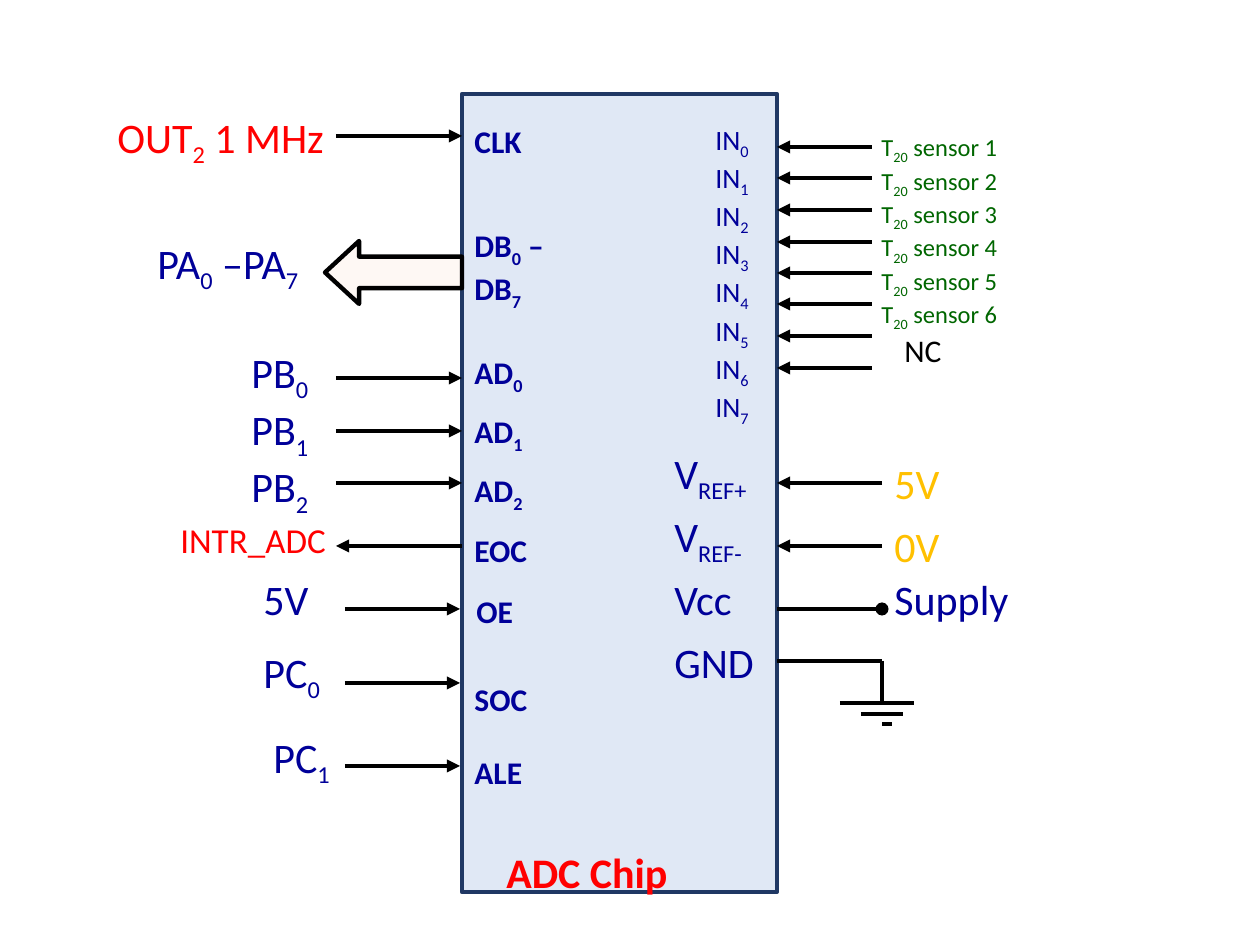
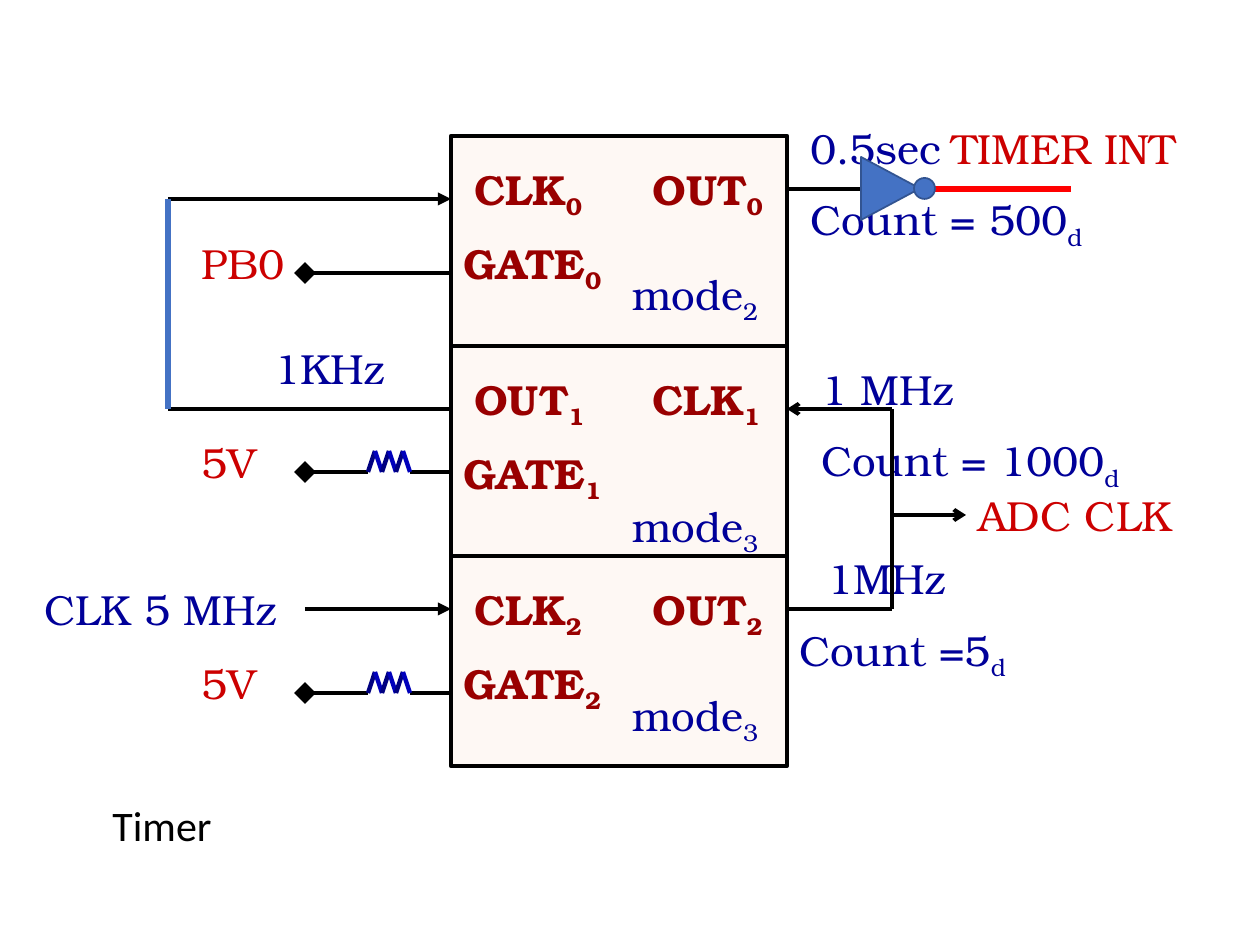
from pptx import Presentation
from pptx.dml.color import RGBColor
from pptx.enum.shapes import MSO_CONNECTOR, MSO_SHAPE
from pptx.enum.text import MSO_AUTO_SIZE
from pptx.oxml.ns import qn
from pptx.util import Pt
from lxml import etree

PIXEL = 914400 / 126
PIXELS_PER_POINT = 1.75
BLACK, NAVY, RED, CRIMSON = "000000", "000099", "FF0000", "CC0000"
MAROON, GREEN, AMBER, BLUE = "990000", "006600", "FFC000", "4472C4"
BLUE_EDGE = "325491"
SANS, SERIF = "Calibri", "TeX Gyre Bonum"
colour = RGBColor.from_string


def label(page, left, top, width, text, size=24, ink=NAVY, bold=False, font=SANS, gap=0):
    """Add a text box; parts between ~ marks are subscripts, gap is points between lines."""
    lines = text.split("\n")
    height = 12.6 + (len(lines) * size * 1.2 + (len(lines) - 1) * gap) * PIXELS_PER_POINT
    box = page.shapes.add_textbox(*(int(v * PIXEL) for v in (left, top, width, round(height))))
    frame = box.text_frame
    frame.word_wrap = True
    frame.auto_size = MSO_AUTO_SIZE.SHAPE_TO_FIT_TEXT
    for number, line in enumerate(lines):
        para = frame.add_paragraph() if number else frame.paragraphs[0]
        para.space_before = Pt(gap if number else 0)
        for part, words in enumerate(line.split("~")):
            if not words:
                continue
            span = para.add_run()
            span.text = words
            span.font.size, span.font.name, span.font.bold = Pt(size), font, bold
            span.font.color.rgb = colour(ink)
            if part % 2:
                span._r.get_or_add_rPr().set("baseline", "-25000")


def wire(shapes, x1, y1, x2, y2, end=None, ink=BLACK, weight=2.5):
    """Add a straight line with an optional end mark at its second point."""
    line = shapes.add_connector(MSO_CONNECTOR.STRAIGHT, *(int(v * PIXEL) for v in (x1, y1, x2, y2)))
    line.line.color.rgb = colour(ink)
    line.line.width = Pt(weight)
    properties = line._element.spPr
    if end:
        size = "lg" if end == "diamond" else "med"
        etree.SubElement(properties.find(qn("a:ln")), qn("a:tailEnd"), type=end, w=size, len=size)
    etree.SubElement(properties, qn("a:effectLst"))


deck = Presentation()
deck.slide_width, deck.slide_height = int(1260 * PIXEL), int(945 * PIXEL)
converter, timer = (deck.slides.add_slide(deck.slide_layouts[6]) for _ in range(2))

# Pale, half-transparent bodies: converter chip, data bus arrow and three counters
bodies = [
    (converter, MSO_SHAPE.RECTANGLE, 462, 94, 315, 798, "8FAADC", 27000, "203864"),
    (converter, MSO_SHAPE.LEFT_ARROW, 325, 241, 137, 63, "ED7D31", 5000, BLACK),
]
bodies += [(timer, MSO_SHAPE.RECTANGLE, 451, 136 + 210 * i, 336, 210, "ED7D31", 5000, BLACK)
           for i in range(3)]
for page, kind, left, top, width, height, fill, alpha, edge in bodies:
    body = page.shapes.add_shape(kind, *(int(v * PIXEL) for v in (left, top, width, height)))
    body.shadow.inherit = False
    body.fill.solid()
    body.fill.fore_color.rgb = colour(fill)
    body.line.color.rgb = colour(edge)
    body.line.width = Pt(2.5)
    tint = body._element.spPr.find(qn("a:solidFill"))[0]
    etree.SubElement(tint, qn("a:alpha"), val=str(alpha))
    if kind == MSO_SHAPE.LEFT_ARROW:
        body.adjustments[1] = 0.542

# Slide 1: analogue inputs
for i in range(8):
    y = round(147 + 31.5 * i)
    wire(converter.shapes, 872, y, 777, y, "triangle")
label(converter, 703, 116, 95, "\n".join(f"IN~{i}" for i in range(8)), 16)
label(converter, 869, 126, 286, "\n".join(f"T~20~ sensor {i}" for i in range(1, 7)), 14, GREEN)
label(converter, 892, 325, 70, "NC", 18, BLACK)

# Pin names inside the chip, left edge
for left, top, width, name in [
    (462, 116, 147, "CLK"),
    (462, 220, 137, "DB~0~ –DB~7"),
    (462, 347, 105, "AD~0\nAD~1\nAD~2"),
    (462, 525, 127, "EOC"),
    (464, 586, 95, "OE"),
    (462, 674, 145, "SOC"),
    (462, 747, 95, "ALE"),
]:
    label(converter, left, top, width, name, 18, NAVY, True, gap=9)

# Signals on the left of the chip
for left, top, width, name, size, ink in [
    (105, 105, 262, "OUT~2~ 1 MHz", 24, RED),
    (145, 231, 189, "PA~0~ –PA~7", 24, NAVY),
    (239, 340, 147, "PB~0\nPB~1\nPB~2", 24, NAVY),
    (168, 512, 179, "INTR_ADC", 20, RED),
    (251, 567, 147, "5V", 24, NAVY),
    (251, 640, 147, "PC~0", 24, NAVY),
    (261, 725, 147, "PC~1", 24, NAVY),
]:
    label(converter, left, top, width, name, size, ink)
for start, end, y in [(336, 462, 136), (336, 462, 378), (336, 462, 431), (336, 462, 483),
                      (462, 336, 546), (345, 460, 609), (345, 460, 683), (345, 460, 766)]:
    wire(converter.shapes, start, y, end, y, "triangle")

# References and supply on the right
for i, name in enumerate(["V~REF+", "V~REF-", "Vcc", "GND"]):
    label(converter, 662, 441 + 63 * i, 147, name)
for top, name, ink in [(451, "5V", AMBER), (514, "0V", AMBER), (567, "Supply", NAVY)]:
    label(converter, 882, top, 199, name, ink=ink)
for y in (483, 546):
    wire(converter.shapes, 882, y, 777, y, "triangle")
wire(converter.shapes, 777, 609, 882, 609, "oval")

# Ground symbol
for x1, y1, x2, y2 in [(777, 661, 882, 661), (882, 661, 882, 703), (840, 703, 914, 703),
                       (861, 714, 903, 714), (882, 724, 892, 724)]:
    wire(converter.shapes, x1, y1, x2, y2)
label(converter, 494, 840, 242, "ADC Chip", 24, RED, True)

# Slide 2: pins and mode of each counter
for i, (left_pin, right_pin, mode, mode_top) in enumerate([
    ("CLK", "OUT", 2, 262), ("OUT", "CLK", 3, 494), ("CLK", "OUT", 3, 683),
]):
    top = 136 + 210 * i
    label(timer, 462, top + 21, 147, f"{left_pin}~{i}", 24, MAROON, True, SERIF)
    label(timer, 451, top + 95, 179, f"GATE~{i}", 24, MAROON, True, SERIF)
    label(timer, 640, top + 21, 147, f"{right_pin}~{i}", 24, MAROON, True, SERIF)
    label(timer, 620, mode_top, 179, f"mode~{mode}", font=SERIF)

# Gate inputs: the first is direct, the others pass through a resistor
for y, name in [(273, "PB0"), (472, "5V"), (693, "5V")]:
    label(timer, 189, y - 42, 147, name, ink=CRIMSON, font=SERIF)
    wire(timer.shapes, 451, y, 410, y)
    wire(timer.shapes, 368, y, 305, y, "diamond")
    if name == "PB0":
        wire(timer.shapes, 410, y, 368, y, weight=2.25)
        continue
    resistor = timer.shapes.add_group_shape()
    for step in range(6):
        rise = step % 2 == 0
        wire(resistor.shapes, 368 + 7 * step, y if rise else y - 21,
             375 + 7 * step, y - 21 if rise else y, ink="000080" if rise else "0000BC")

# Signal names around the counters
for left, top, width, words, ink in [
    (32, 577, 325, "CLK 5 MHz", NAVY),
    (262, 336, 325, "1KHz", NAVY),
    (798, 116, 305, "0.5sec\nCount = 500~d", NAVY),
    (809, 357, 357, "1 MHz\nCount = 1000~d", NAVY),
    (815, 546, 315, "1MHz", NAVY),
    (787, 618, 347, "Count =5~d", NAVY),
    (966, 483, 252, "ADC CLK", CRIMSON),
    (939, 116, 321, "TIMER INT", CRIMSON),
]:
    label(timer, left, top, width, words, ink=ink, font=SERIF, gap=12)
label(timer, 100, 793, 137, "Timer", ink=BLACK)

# Clock chain: counter 1 feeds counter 0, counter 2 feeds counter 1 and the converter
for x1, y1, x2, y2, end, ink, weight in [
    (305, 609, 451, 609, "triangle", BLACK, 2.5),
    (168, 199, 451, 199, "triangle", BLACK, 2.5),
    (451, 409, 168, 409, None, BLACK, 2.5),
    (168, 199, 168, 409, None, BLUE, 3),
    (787, 189, 861, 189, None, BLACK, 2.5),
    (935, 189, 1071, 189, None, RED, 3),
    (787, 609, 892, 609, None, BLACK, 2.5),
    (892, 609, 892, 409, None, BLACK, 2.25),
    (892, 409, 787, 409, "arrow", BLACK, 2.25),
    (892, 515, 966, 515, "arrow", BLACK, 2.25),
]:
    wire(timer.shapes, x1, y1, x2, y2, end, ink, weight)

# Inverter on the timer output
for kind, left, top, width, height, turn in [
    (MSO_SHAPE.ISOSCELES_TRIANGLE, 859, 159, 63, 59, 90),
    (MSO_SHAPE.OVAL, 914, 178, 21, 21, 0),
]:
    part = timer.shapes.add_shape(kind, *(int(v * PIXEL) for v in (left, top, width, height)))
    part.rotation = turn
    part.shadow.inherit = False
    part.fill.solid()
    part.fill.fore_color.rgb = colour(BLUE)
    part.line.color.rgb = colour(BLUE_EDGE)
    part.line.width = Pt(1)

deck.save("out.pptx")
